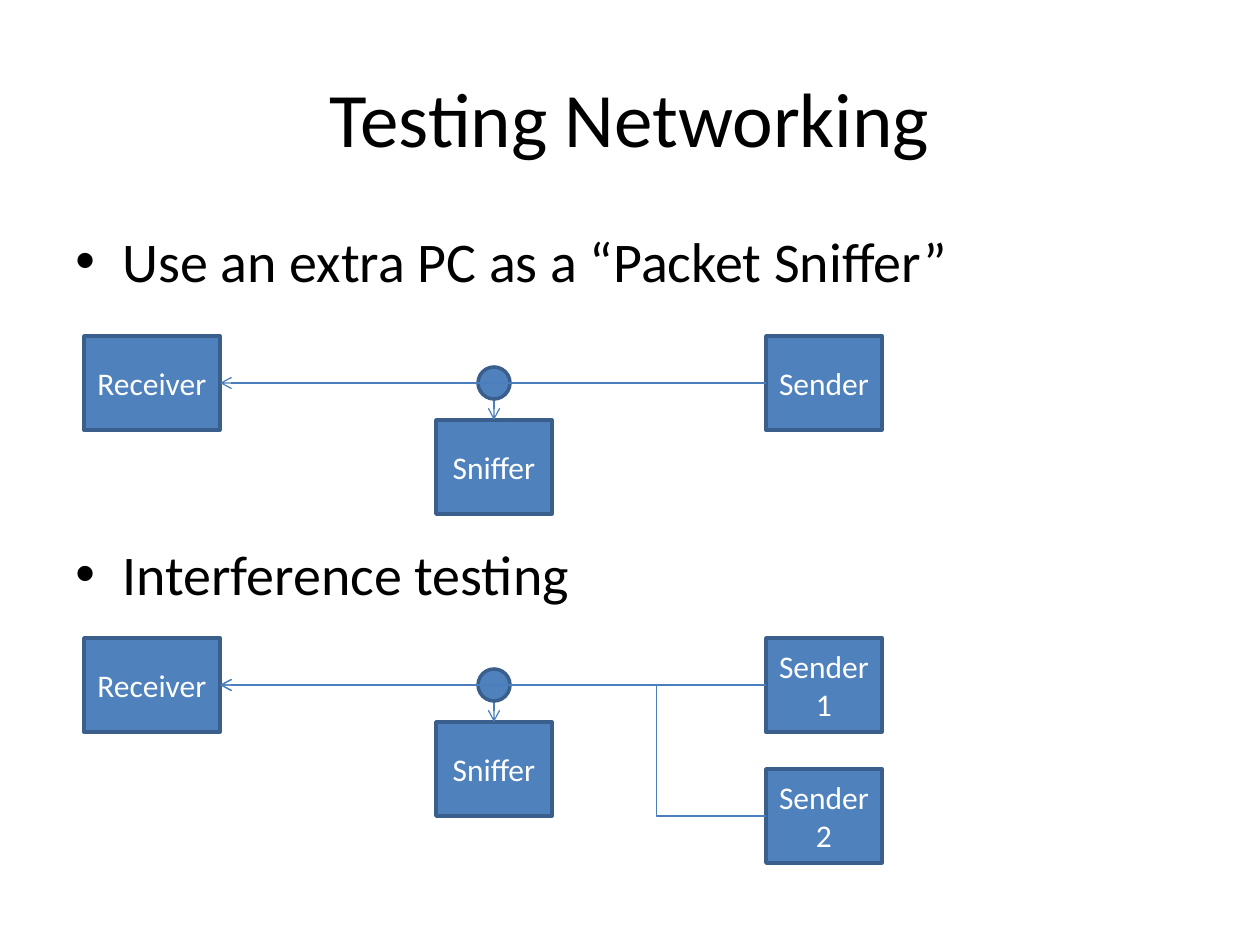
from dataclasses import dataclass
from lxml.etree import SubElement
from pptx import Presentation
from pptx.dml.color import RGBColor
from pptx.enum.shapes import MSO_CONNECTOR, MSO_SHAPE
from pptx.enum.text import MSO_ANCHOR, PP_ALIGN
from pptx.oxml.ns import qn
from pptx.util import Pt

EMU_PER_PIXEL = 914400 / 126


@dataclass(frozen=True)
class Theme:
    font: str = "Calibri"
    text: RGBColor = RGBColor(0, 0, 0)
    label: RGBColor = RGBColor(255, 255, 255)
    fill: RGBColor = RGBColor(0x4F, 0x81, 0xBD)
    outline: RGBColor = RGBColor(0x3A, 0x5F, 0x8C)
    connector: RGBColor = RGBColor(0x4B, 0x7E, 0xBC)
    title_size: int = 44
    body_size: int = 32
    label_size: int = 18
    outline_width: float = 2
    connector_width: float = 0.75


THEME = Theme()


def pixels(*values):
    return [round(value * EMU_PER_PIXEL) for value in values]


def add_run(paragraph, text, size, color):
    run = paragraph.add_run()
    run.text = text
    run.font.name = THEME.font
    run.font.size = Pt(size)
    run.font.color.rgb = color


def add_title(slide, box, text):
    frame = slide.shapes.add_textbox(*pixels(*box)).text_frame
    frame.word_wrap = True
    frame.vertical_anchor = MSO_ANCHOR.MIDDLE
    paragraph = frame.paragraphs[0]
    paragraph.alignment = PP_ALIGN.CENTER
    add_run(paragraph, text, THEME.title_size, THEME.text)


def add_bullets(slide, box, items, gap, indent):
    frame = slide.shapes.add_textbox(*pixels(*box)).text_frame
    frame.word_wrap = True
    for index, text in enumerate(items):
        paragraph = frame.add_paragraph() if index else frame.paragraphs[0]
        paragraph.space_before = Pt(gap if index else 0)
        properties = paragraph._p.get_or_add_pPr()
        margin = pixels(indent)[0]
        properties.set("marL", str(margin))
        properties.set("indent", str(-margin))
        SubElement(properties, qn("a:buFont"), typeface="Arial")
        SubElement(properties, qn("a:buChar"), char="•")
        add_run(paragraph, text, THEME.body_size, THEME.text)


def add_node(group, kind, box, text=""):
    shape = group.shapes.add_shape(kind, *pixels(*box))
    shape.shadow.inherit = False
    shape.fill.solid()
    shape.fill.fore_color.rgb = THEME.fill
    shape.line.color.rgb = THEME.outline
    shape.line.width = Pt(THEME.outline_width)
    if text:
        frame = shape.text_frame
        frame.word_wrap = True
        frame.vertical_anchor = MSO_ANCHOR.MIDDLE
        paragraph = frame.paragraphs[0]
        paragraph.alignment = PP_ALIGN.CENTER
        add_run(paragraph, text, THEME.label_size, THEME.label)


def add_arrow(group, start, end, bend=None):
    kind = MSO_CONNECTOR.STRAIGHT if bend is None else MSO_CONNECTOR.ELBOW
    arrow = group.shapes.add_connector(kind, *pixels(*start, *end))
    arrow.line.color.rgb = THEME.connector
    arrow.line.width = Pt(THEME.connector_width)
    SubElement(arrow.line._get_or_add_ln(), qn("a:tailEnd"), type="arrow")
    properties = arrow._element.spPr
    SubElement(properties, qn("a:effectLst"))
    if bend is not None:
        adjustments = properties.find(qn("a:prstGeom")).get_or_add_avLst()
        SubElement(adjustments, qn("a:gd"), name="adj1", fmla=f"val {round(bend * 100000)}")


def add_network(slide, origin, senders):
    left, top = origin
    receiver_width, node_width, node_height = 136, 116, 94
    sender_left, sender_step = left + 682, 131
    sniffer_left, sniffer_top = left + 352, top + 84
    tap_size = 32
    center_x = sniffer_left + node_width // 2
    center_y = top + node_height // 2
    group = slide.shapes.add_group_shape()
    add_node(group, MSO_SHAPE.RECTANGLE, (left, top, receiver_width, node_height), "Receiver")
    add_node(group, MSO_SHAPE.RECTANGLE, (sniffer_left, sniffer_top, node_width, node_height), "Sniffer")
    add_arrow(group, (center_x, center_y), (center_x, sniffer_top))
    tap = (center_x - tap_size // 2, center_y - tap_size // 2, tap_size, tap_size)
    add_node(group, MSO_SHAPE.OVAL, tap)
    for index, name in enumerate(senders):
        offset = index * sender_step
        add_node(group, MSO_SHAPE.RECTANGLE, (sender_left, top + offset, node_width, node_height), name)
        add_arrow(
            group,
            (sender_left, center_y + offset),
            (left + receiver_width, center_y),
            0.2 if index else None,
        )


def build_slide(presentation):
    slide = presentation.slides.add_slide(presentation.slide_layouts[6])
    add_title(slide, (63, 38, 1134, 157), "Testing Networking")
    bullets = ["Use an extra PC as a “Packet Sniffer”", "Interference testing"]
    add_bullets(slide, (63, 220, 1134, 624), bullets, 140.4, 47)
    add_network(slide, (84, 336), ["Sender"])
    add_network(slide, (84, 638), ["Sender 1", "Sender 2"])


presentation = Presentation()
presentation.slide_width, presentation.slide_height = pixels(1260, 945)
build_slide(presentation)
presentation.save("out.pptx")
